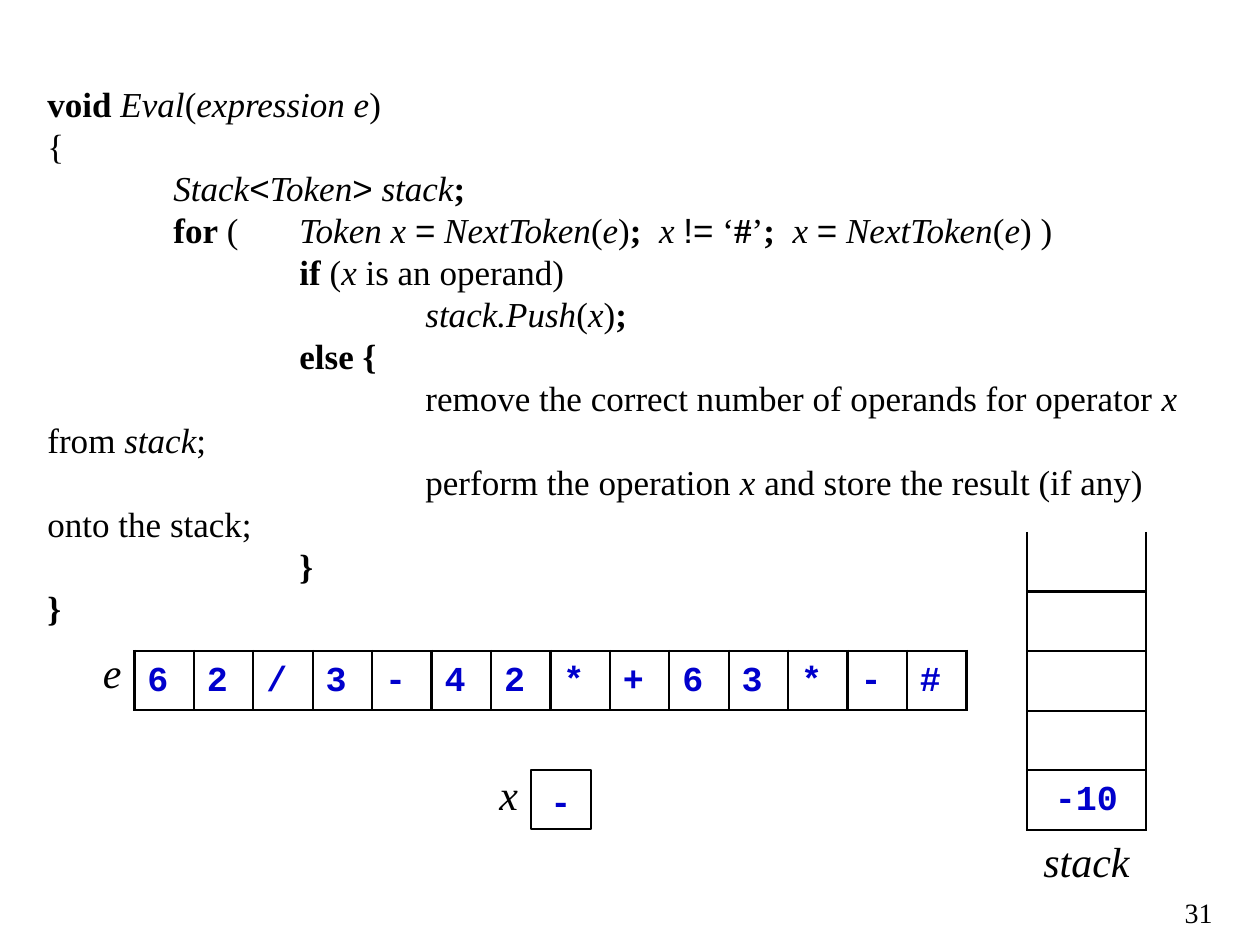
from lxml.etree import SubElement
from pptx import Presentation
from pptx.dml.color import RGBColor
from pptx.enum.shapes import MSO_SHAPE
from pptx.enum.text import MSO_ANCHOR, PP_ALIGN
from pptx.oxml.ns import qn
from pptx.util import Emu, Pt

PX = 914400 / 126
COLORS = {"ink": "000000", "token": "0000CC"}
LINE_WIDTH = Pt(1.5)
SIDES = "LRTB"

CODE_FORMAT = {"name": "Times New Roman", "size": Pt(20)}
LABEL_FORMAT = {"name": "Times New Roman", "size": Pt(24), "italic": True}
NUMBER_FORMAT = {"name": "Times New Roman", "size": Pt(16)}
TOKEN_FORMAT = {"name": "Courier New", "size": Pt(20), "bold": True}
TOKEN_MARGINS = (13, 8, 13, 5)
RUN_STYLES = {
    "plain": {},
    "bold": {"bold": True},
    "italic": {"italic": True},
    "symbol": {"name": "Arial"},
}

PLAIN, BOLD, ITALIC, SYMBOL = RUN_STYLES
NEXT_TOKEN = [("=", SYMBOL), (" NextToken", ITALIC), ("(", PLAIN), ("e", ITALIC)]
CODE_LINES = [
    [("void ", BOLD), ("Eval", ITALIC), ("(", PLAIN), ("expression e", ITALIC), (")", PLAIN)],
    [("{", PLAIN)],
    [("\tStack", ITALIC), ("<", SYMBOL), ("Token", ITALIC), (">", SYMBOL),
     (" stack", ITALIC), (";", BOLD)],
    [("\tfor", BOLD), (" (\t", PLAIN), ("Token x ", ITALIC), *NEXT_TOKEN,
     (")", PLAIN), (";  ", BOLD), ("x ", ITALIC), ("!=", SYMBOL), (" ‘", PLAIN),
     ("#", BOLD), ("’", PLAIN), (";  ", BOLD), ("x ", ITALIC), *NEXT_TOKEN, (") )", PLAIN)],
    [("\t\tif", BOLD), (" (", PLAIN), ("x", ITALIC), (" is an operand)", PLAIN)],
    [("\t\t\t", PLAIN), ("stack.Push", ITALIC), ("(", PLAIN), ("x", ITALIC),
     (")", PLAIN), (";", BOLD)],
    [("\t\telse {", BOLD)],
    [("\t\t\tremove the correct number of operands for operator ", PLAIN),
     ("x", ITALIC), (" from ", PLAIN), ("stack", ITALIC), (";", PLAIN)],
    [("\t\t\tperform the operation ", PLAIN), ("x", ITALIC),
     (" and store the result (if any) onto the stack;", PLAIN)],
    [("\t\t}", BOLD)],
    [("}", BOLD)],
]


def px(length):
    return Emu(round(length * PX))


def set_format(font, values, color="ink"):
    for name, value in values.items():
        setattr(font, name, value)
    font.color.rgb = RGBColor.from_string(COLORS[color])


def set_margins(target, margins):
    """Set left, top, right and bottom margins of a cell or text frame."""
    for side, margin in zip(("left", "top", "right", "bottom"), margins):
        setattr(target, f"margin_{side}", px(margin))


def write(frame, text, values, color="ink", align=PP_ALIGN.LEFT):
    paragraph = frame.paragraphs[0]
    paragraph.alignment = align
    run = paragraph.add_run()
    run.text = text
    set_format(run.font, values, color)


def add_text_box(slide, box):
    frame = slide.shapes.add_textbox(*map(px, box)).text_frame
    frame.word_wrap = True
    return frame


def add_label(slide, box, text, values=LABEL_FORMAT, align=PP_ALIGN.CENTER):
    frame = add_text_box(slide, box)
    write(frame, text, values, align=align)
    return frame


def add_tab_stops(paragraph, step, count):
    tab_list = SubElement(paragraph._p.get_or_add_pPr(), qn("a:tabLst"))
    for index in range(1, count + 1):
        SubElement(tab_list, qn("a:tab"), pos=str(px(step * index)), algn="l")


def add_code(slide, box):
    frame = add_text_box(slide, box)
    for index, line in enumerate(CODE_LINES):
        paragraph = frame.add_paragraph() if index else frame.paragraphs[0]
        add_tab_stops(paragraph, 126, 3)
        for text, style in line:
            run = paragraph.add_run()
            run.text = text
            set_format(run.font, CODE_FORMAT | RUN_STYLES[style])


def set_borders(cell, sides):
    properties = cell._tc.get_or_add_tcPr()
    for side in SIDES:
        line = SubElement(properties, qn(f"a:ln{side}"), w=str(LINE_WIDTH))
        if side in sides:
            fill = SubElement(line, qn("a:solidFill"))
            SubElement(fill, qn("a:srgbClr"), val=COLORS["ink"])
        else:
            SubElement(line, qn("a:noFill"))


def add_grid(slide, box, rows, columns, open_sides):
    """Add an unfilled ruled table whose first cell lacks open_sides."""
    width, height = box[2:]
    table = slide.shapes.add_table(rows, columns, *map(px, box)).table
    table.first_row = table.horz_banding = False
    for column in table.columns:
        column.width = px(width / columns)
    for row in table.rows:
        row.height = px(height / rows)
    for index, cell in enumerate(table.iter_cells()):
        set_borders(cell, SIDES if index else set(SIDES) - set(open_sides))
        cell.fill.background()
    return table


def write_token(cell, text, align=PP_ALIGN.LEFT):
    set_margins(cell, TOKEN_MARGINS)
    cell.vertical_anchor = MSO_ANCHOR.MIDDLE
    write(cell.text_frame, text, TOKEN_FORMAT, "token", align)


def add_expression(slide, box, tokens):
    table = add_grid(slide, box, 1, len(tokens) + 1, "LTB")
    name_cell = table.cell(0, 0)
    set_margins(name_cell, (13, 0, 13, 5))
    write(name_cell.text_frame, "e", LABEL_FORMAT, align=PP_ALIGN.RIGHT)
    for column, token in enumerate(tokens, start=1):
        write_token(table.cell(0, column), token)


def add_stack(slide, box, rows, value):
    left, top, width, height = box
    table = add_grid(slide, box, rows, 1, "T")
    write_token(table.cell(rows - 1, 0), value, PP_ALIGN.CENTER)
    add_label(slide, (left, top + height - 1, width, 59), "stack")


def add_current_token(slide, box, token):
    left, top, width, height = box
    half = width // 2
    label = add_label(slide, (left, top, half, height), "x", align=PP_ALIGN.RIGHT)
    set_margins(label, (13, 0, 13, 10))
    label.vertical_anchor = MSO_ANCHOR.BOTTOM

    shape = slide.shapes.add_shape(
        MSO_SHAPE.RECTANGLE, *map(px, (left + half, top, half, height)))
    shape.shadow.inherit = False
    shape.fill.background()
    shape.line.width = LINE_WIDTH
    shape.line.color.rgb = RGBColor.from_string(COLORS["ink"])
    frame = shape.text_frame
    set_margins(frame, TOKEN_MARGINS)
    frame.vertical_anchor = MSO_ANCHOR.MIDDLE
    write(frame, token, TOKEN_FORMAT, "token", PP_ALIGN.CENTER)


def main():
    presentation = Presentation()
    presentation.slide_width, presentation.slide_height = px(1260), px(945)
    slide = presentation.slides.add_slide(presentation.slide_layouts[6])
    add_code(slide, (35, 76, 1191, 476))
    add_label(slide, (1146, 889, 79, 40), "31", NUMBER_FORMAT, PP_ALIGN.RIGHT)
    add_expression(slide, (75, 651, 892, 59), "62/3-42*+63*-#")
    add_stack(slide, (1027, 532, 119, 298), 5, "-10")
    add_current_token(slide, (471, 770, 120, 59), "-")
    presentation.save("out.pptx")


if __name__ == "__main__":
    main()
